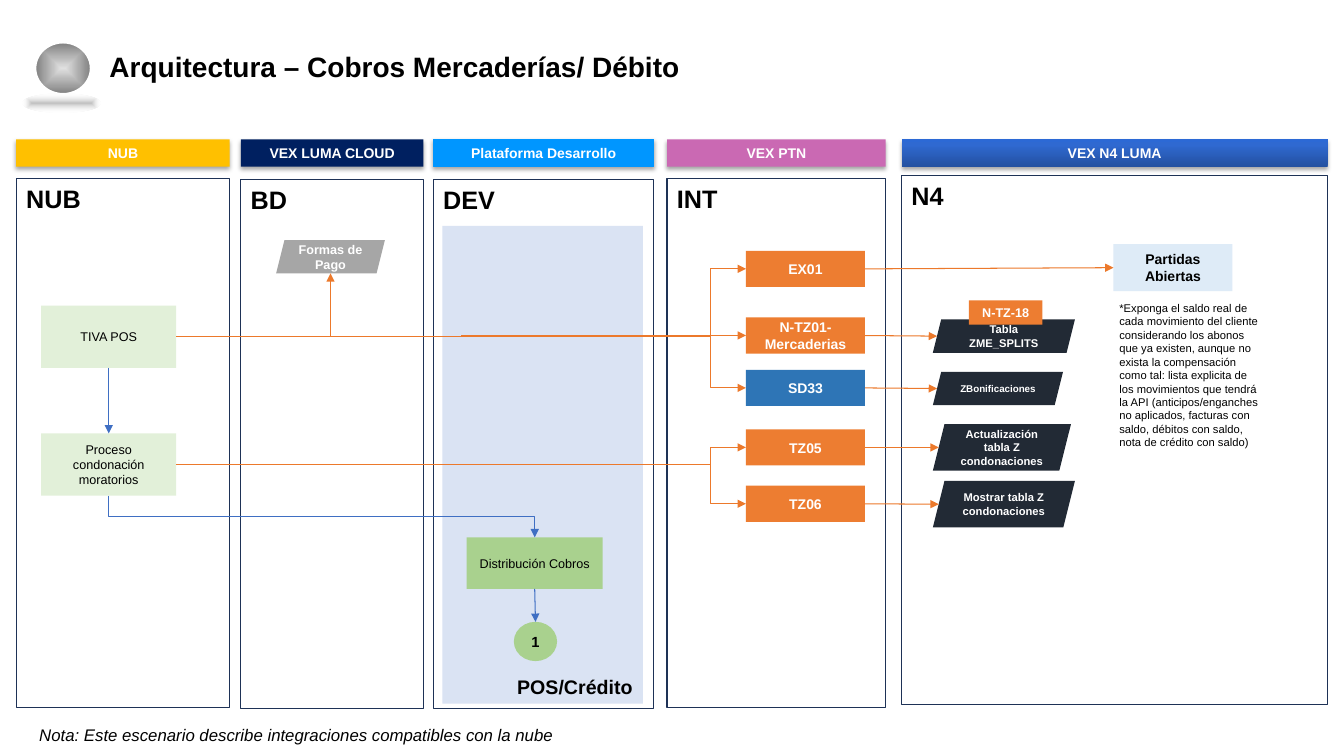
from dataclasses import dataclass

from lxml.etree import SubElement
from pptx import Presentation
from pptx.dml.color import RGBColor
from pptx.enum.shapes import MSO_CONNECTOR, MSO_SHAPE
from pptx.enum.text import MSO_ANCHOR, PP_ALIGN
from pptx.oxml import parse_xml
from pptx.oxml.ns import nsdecls, qn
from pptx.util import Cm, Pt


@dataclass(frozen=True)
class Theme:
    font: str = "Arial"
    black: str = "000000"
    white: str = "FFFFFF"
    frame: str = "1E3256"
    orange: str = "ED7D31"
    blue: str = "2E75B6"
    dark: str = "222A35"
    gray: str = "A6A6A6"
    ball_light: str = "E0E0E0"
    ball_dark: str = "808080"
    pale_blue: str = "DAE3F3"
    sky: str = "DEEBF7"
    pale_green: str = "E2F0D9"
    green: str = "A9D18E"
    flow: str = "EC792B"
    process: str = "3F6FC3"
    amber: str = "FFC000"
    navy: str = "002060"
    azure: str = "0096FF"
    pink: str = "CA69B3"
    header_stops: tuple = ((0, "2451A1", 100), (80, "2F69D1", 100), (100, "2C69D5", 100))
    title: float = 20
    lane: float = 18
    area: float = 14
    note: float = 12
    step: float = 10.5
    label: float = 10
    body: float = 9
    small: float = 8
    tiny: float = 7


T = Theme()
RECT, OVAL, SLANT = MSO_SHAPE.RECTANGLE, MSO_SHAPE.OVAL, MSO_SHAPE.PARALLELOGRAM


def rgb(color):
    return RGBColor.from_string(color)


def write(s, text, size=T.label, color=T.white, bold=False, italic=False,
          align=PP_ALIGN.CENTER, anchor=MSO_ANCHOR.MIDDLE, spacing=None):
    tf = s.text_frame
    tf.word_wrap = True
    tf.vertical_anchor = anchor
    p = tf.paragraphs[0]
    p.alignment = align
    p.line_spacing = spacing
    r = p.add_run()
    r.text = text
    r.font.name, r.font.size = T.font, Pt(size)
    r.font.bold, r.font.italic = bold, italic
    r.font.color.rgb = rgb(color)


def shape(sp, kind, x, y, w, h, fill=None, line=None, width=0.75):
    s = sp.add_shape(kind, Cm(x), Cm(y), Cm(w), Cm(h))
    s.shadow.inherit = False
    s.fill.background()
    s.line.fill.background()
    if fill:
        s.fill.solid()
        s.fill.fore_color.rgb = rgb(fill)
    if line:
        s.line.color.rgb = rgb(line)
        s.line.width = Pt(width)
    return s


def node(sp, kind, x, y, w, h, fill, text, **fmt):
    s = shape(sp, kind, x, y, w, h, fill)
    write(s, text, **fmt)
    return s


def text_box(sp, x, y, w, h, text, **fmt):
    s = sp.add_textbox(Cm(x), Cm(y), Cm(w), Cm(h))
    write(s, text, color=T.black, align=PP_ALIGN.LEFT, anchor=MSO_ANCHOR.TOP, **fmt)


def gradient(s, stops, direction):
    gs = "".join(f'<a:gs pos="{pos * 1000}"><a:srgbClr val="{color}">'
                 f'<a:alpha val="{alpha * 1000}"/></a:srgbClr></a:gs>'
                 for pos, color, alpha in stops)
    xml = f'<a:gradFill {nsdecls("a")}><a:gsLst>{gs}</a:gsLst>{direction}</a:gradFill>'
    props = s._element.spPr
    props.replace(props.find(qn("a:noFill")), parse_xml(xml))


def drop_shadow(s):
    effects = s._element.spPr.find(qn("a:effectLst"))
    effects.append(parse_xml(
        f'<a:outerShdw {nsdecls("a")} blurRad="{Pt(3.1)}" dist="{Pt(1.8)}" dir="5400000" '
        'rotWithShape="0"><a:srgbClr val="000000"><a:alpha val="35000"/></a:srgbClr></a:outerShdw>'))


# Connection points of a shape
def left(s):
    inset = s.height // 8 if s.auto_shape_type == SLANT else 0
    return s.left + inset, s.top + s.height // 2


def right(s):
    return s.left + s.width, s.top + s.height // 2


def top(s):
    return s.left + s.width // 2, s.top


def bottom(s):
    return s.left + s.width // 2, s.top + s.height


def arrow(sp, start, end, color=T.flow, kind=MSO_CONNECTOR.STRAIGHT,
          turn_x=None, corner=False, upright=False):
    (x1, y1), (x2, y2) = start, end
    if upright:  # leaves downwards: swapped box, turned by 270 degrees
        cx, cy, dx, dy = (x1 + x2) // 2, (y1 + y2) // 2, (x2 - x1) // 2, (y2 - y1) // 2
        x1, y1, x2, y2 = cx + dy, cy - dx, cx - dy, cy + dx
    c = sp.add_connector(kind, x1, y1, x2, y2)
    c.line.color.rgb = rgb(color)
    c.line.width = Pt(0.75)
    SubElement(c.line._get_or_add_ln(), qn("a:tailEnd"), type="triangle")
    props = c._element.spPr
    SubElement(props, qn("a:effectLst"))
    geom = props.find(qn("a:prstGeom"))
    if upright:
        props.find(qn("a:xfrm")).set("rot", "16200000")
    if corner:
        geom.set("prst", "bentConnector2")
    if turn_x:
        share = round(100000 * (turn_x - x1) / (x2 - x1))
        SubElement(geom.find(qn("a:avLst")), qn("a:gd"), name="adj1", fmla=f"val {share}")


def heading(sp, x, y):
    radial = ('<a:path path="rect"><a:fillToRect l="50000" t="50000" r="50000" b="50000"/></a:path>')
    ball = shape(sp, OVAL, x + 0.33, y, 1.4, 1.3, line=T.white, width=1.5)
    gradient(ball, ((0, T.ball_light, 100), (100, T.ball_dark, 100)), radial)
    shade = shape(sp, OVAL, x, y + 1.29, 1.96, 0.48)
    gradient(shade, ((0, T.ball_dark, 50), (100, T.white, 0)), radial)
    text_box(sp, x + 1.95, y + 0.15, 28.27, 1.02, "Arquitectura – Cobros Mercaderías/ Débito",
             size=T.title, bold=True, spacing=0.9)


def lane(sp, x, y, w, header, name, fill=None, line=None):
    bar = shape(sp, RECT, x, 3.51, w, 0.69, fill, line)
    if not fill:
        gradient(bar, T.header_stops, '<a:lin ang="16200000" scaled="0"/>')
    drop_shadow(bar)
    write(bar, header, bold=True)
    panel = shape(sp, RECT, x, y, w, 13.34, line=T.frame)
    write(panel, name, size=T.lane, color=T.black, bold=True,
          align=PP_ALIGN.LEFT, anchor=MSO_ANCHOR.TOP)


def cloud_lane(sp, x, y):
    lane(sp, x, y, 5.38, "NUB", "NUB", T.amber)
    return [node(sp, RECT, x + 0.63, y + dy, 3.4, 1.57, T.pale_green, text,
                 size=T.body, color=T.black)
            for dy, text in ((3.2, "TIVA POS"), (6.42, "Proceso condonación moratorios"))]


def database_lane(sp, x, y):
    lane(sp, x, y, 4.6, "VEX LUMA CLOUD", "BD", T.navy)
    return node(sp, SLANT, x + 0.89, y + 1.53, 2.74, 0.84, T.gray, "Formas de Pago",
                size=T.body, bold=True)


def development_lane(sp, x, y):
    node(sp, RECT, x + 0.23, y + 1.17, 5.05, 12.04, T.pale_blue, "POS/Crédito", size=T.area,
         color=T.black, bold=True, align=PP_ALIGN.RIGHT, anchor=MSO_ANCHOR.BOTTOM)
    lane(sp, x, y, 5.56, "Plataforma Desarrollo", "DEV", T.azure, T.azure)
    share = node(sp, RECT, x + 0.84, y + 9.02, 3.43, 1.3, T.green, "Distribución Cobros",
                 size=T.body, color=T.black)
    step = node(sp, OVAL, x + 2.03, y + 11.15, 1.09, 0.99, T.green, "1",
                size=T.step, color=T.black, bold=True)
    return share, step


def integration_lane(sp, x, y):
    lane(sp, x, y, 5.51, "VEX PTN", "INT", T.pink)
    services = ((1.82, "EX01", T.orange), (3.5, "N-TZ01-Mercaderias", T.orange),
                (4.82, "SD33", T.blue), (6.32, "TZ05", T.orange), (7.74, "TZ06", T.orange))
    return [node(sp, RECT, x + 1.99, y + dy, 3, 0.91, fill, text, bold=True)
            for dy, text, fill in services]


def core_lane(sp, x, y):
    lane(sp, x, y, 10.74, "VEX N4 LUMA", "N4")
    items = node(sp, RECT, x + 5.34, y + 1.73, 3, 1.19, T.sky, "Partidas Abiertas",
                 color=T.black, bold=True)
    tables = ((3.63, 3.58, 0.84, "Tabla ZME_SPLITS", T.small),
              (4.95, 3.28, 0.84, "ZBonificaciones", T.tiny),
              (6.27, 3.48, 1.17, "Actualización tabla Z condonaciones", T.small),
              (7.7, 3.58, 1.17, "Mostrar tabla Z condonaciones", T.small))
    targets = [node(sp, SLANT, x + 0.79, y + dy, w, h, T.dark, text, size=size, bold=True)
               for dy, w, h, text, size in tables]
    node(sp, RECT, x + 1.7, y + 3.15, 1.85, 0.61, T.orange, "N-TZ-18", size=T.body, bold=True)
    text_box(sp, x + 5.24, y + 3.05, 4.17, 4.01,
             "*Exponga el saldo real de cada movimiento del cliente considerando los abonos que ya "
             "existen, aunque no exista la compensación como tal: lista explicita de los movimientos "
             "que tendrá la API (anticipos/enganches no aplicados, facturas con saldo, débitos con "
             "saldo, nota de crédito con saldo)", size=T.small)
    return [items] + targets


def main():
    prs = Presentation()
    prs.slide_width, prs.slide_height = Cm(33.87), Cm(19.05)
    sp = prs.slides.add_slide(prs.slide_layouts[6]).shapes
    heading(sp, 0.56, 1.07)
    pos, waiver = cloud_lane(sp, 0.41, 4.5)
    payments = database_lane(sp, 6.07, 4.52)
    share, step = development_lane(sp, 10.92, 4.52)
    services = integration_lane(sp, 16.81, 4.5)
    targets = core_lane(sp, 22.72, 4.42)

    # Flows between lanes
    elbow = MSO_CONNECTOR.ELBOW
    for i, service in enumerate(services):
        arrow(sp, right(pos if i < 3 else waiver), left(service), kind=elbow,
              turn_x=None if i == 1 else Cm(17.9))
    for service, target in zip(services, targets):
        arrow(sp, right(service), left(target))
    arrow(sp, right(pos), bottom(payments), kind=elbow, corner=True)
    arrow(sp, bottom(pos), top(waiver), T.process)
    arrow(sp, bottom(waiver), top(share), T.process, elbow, upright=True)
    arrow(sp, bottom(share), top(step), T.process)

    text_box(sp, 0.74, 18.14, 14.58, 0.76, size=T.note, italic=True,
             text="Nota: Este escenario describe integraciones compatibles con la nube")
    prs.save("out.pptx")


if __name__ == "__main__":
    main()
